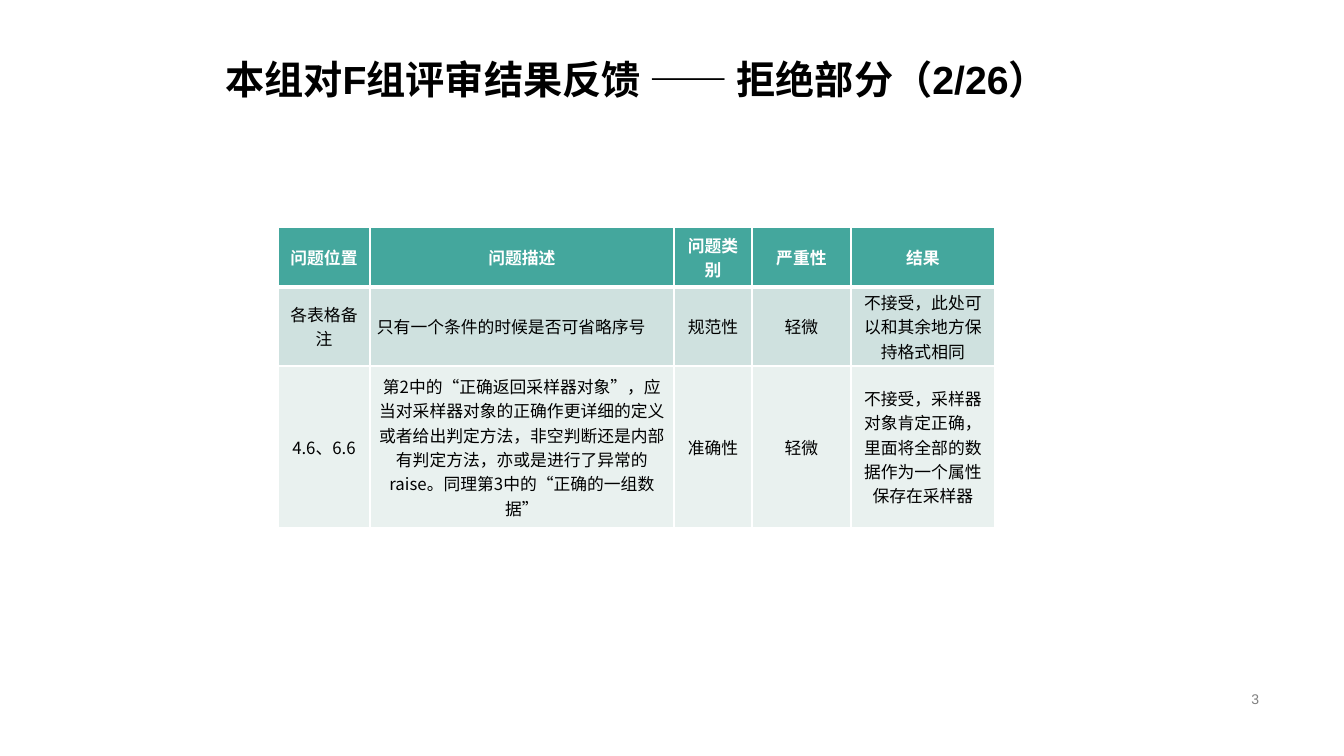
import dataclasses

import pptx
import pptx.dml.color
import pptx.enum.text
import pptx.oxml
import pptx.oxml.ns
import pptx.util

EMU_PER_PX = 12192000 / 1344
COLORS = {
    "text": "000000",
    "white": "FFFFFF",
    "header": "44A79D",
    "band_dark": "CFE1DF",
    "band_light": "E9F1EF",
    "page": "808080",
}
CJK_FONT = "Noto Sans CJK SC"
ALIGN = pptx.enum.text.PP_ALIGN
ANCHOR = pptx.enum.text.MSO_ANCHOR


@dataclasses.dataclass
class TextStyle:
    size: int
    color: str
    font: str = CJK_FONT
    bold: bool = False
    align: ALIGN = ALIGN.CENTER


@dataclasses.dataclass
class ReviewRow:
    height: int
    fill: str
    texts: list[str]
    style: TextStyle
    margins: tuple[int, int]
    bottom_border: int = 1
    left_aligned: tuple[int, ...] = ()


def px(value: int) -> int:
    return round(value * EMU_PER_PX)


def rgb(name: str) -> pptx.dml.color.RGBColor:
    return pptx.dml.color.RGBColor.from_string(COLORS[name])


def write(frame, text: str, style: TextStyle) -> None:
    frame.text = text
    paragraph = frame.paragraphs[0]
    paragraph.alignment = style.align
    font = paragraph.font
    font.name, font.size, font.bold = style.font, pptx.util.Pt(style.size), style.bold
    font.color.rgb = rgb(style.color)
    # East Asian characters take their own typeface
    defaults = paragraph._p.pPr.find(pptx.oxml.ns.qn("a:defRPr"))
    defaults.append(pptx.oxml.parse_xml(
        f'<a:ea {pptx.oxml.ns.nsdecls("a")} typeface="{CJK_FONT}"/>'))


def add_borders(cell, widths: dict[str, int]) -> None:
    properties = cell._tc.get_or_add_tcPr()
    for index, (side, points) in enumerate(widths.items()):
        properties.insert(index, pptx.oxml.parse_xml(
            f'<a:ln{side} {pptx.oxml.ns.nsdecls("a")} w="{pptx.util.Pt(points)}">'
            f'<a:solidFill><a:srgbClr val="{COLORS["white"]}"/></a:solidFill>'
            f'</a:ln{side}>'))


def add_review_table(slide, left: int, top: int, widths: list[int],
                     rows: list[ReviewRow]) -> None:
    table = slide.shapes.add_table(
        len(rows), len(widths), px(left), px(top),
        px(sum(widths)), px(sum(row.height for row in rows))).table
    table.first_row = table.horz_banding = False
    for column, width in zip(table.columns, widths):
        column.width = px(width)
    top_border = 1
    for r, row in enumerate(rows):
        table.rows[r].height = px(row.height)
        for c, text in enumerate(row.texts):
            cell = table.cell(r, c)
            align = ALIGN.LEFT if c in row.left_aligned else ALIGN.CENTER
            write(cell.text_frame, text, dataclasses.replace(row.style, align=align))
            cell.vertical_anchor = ANCHOR.MIDDLE
            cell.margin_left = cell.margin_right = px(row.margins[0])
            cell.margin_top = cell.margin_bottom = px(row.margins[1])
            cell.fill.solid()
            cell.fill.fore_color.rgb = rgb(row.fill)
            add_borders(cell, {"L": 1, "R": 1, "T": top_border, "B": row.bottom_border})
        top_border = row.bottom_border


BODY = TextStyle(12, "text")
REVIEW_ROWS = [
    ReviewRow(60, "header", ["问题位置", "问题描述", "问题类别", "严重性", "结果"],
              TextStyle(12, "white", bold=True), (10, 5), bottom_border=3),
    ReviewRow(79, "band_dark",
              ["各表格备注", "只有一个条件的时候是否可省略序号", "规范性", "轻微",
               "不接受，此处可以和其余地方保持格式相同"],
              BODY, (7, 0), left_aligned=(1,)),
    ReviewRow(162, "band_light",
              ["4.6、6.6",
               "第2中的“正确返回采样器对象”，应当对采样器对象的正确作更详细的定义"
               "或者给出判定方法，非空判断还是内部有判定方法，亦或是进行了异常的"
               "raise。同理第3中的“正确的一组数据”",
               "准确性", "轻微",
               "不接受，采样器对象肯定正确，里面将全部的数据作为一个属性保存在采样器"],
              BODY, (7, 0)),
]


def main() -> None:
    deck = pptx.Presentation()
    deck.slide_width, deck.slide_height = px(1344), px(756)
    slide = deck.slides.add_slide(deck.slide_layouts[5])

    # Title
    title = slide.shapes.title
    title.left, title.top, title.width, title.height = px(140), px(27), px(993), px(81)
    title.text_frame.vertical_anchor = ANCHOR.BOTTOM
    write(title.text_frame, "本组对F组评审结果反馈 —— 拒绝部分（2/26）",
          TextStyle(28, "text", "Arial", bold=True))
    title.text_frame.paragraphs[0].line_spacing = 0.9

    # Review feedback
    add_review_table(slide, 278, 227, [92, 304, 78, 99, 144], REVIEW_ROWS)

    # Page number
    page = slide.shapes.add_textbox(px(950), px(687), px(319), px(23)).text_frame
    page.word_wrap = True
    page.vertical_anchor = ANCHOR.MIDDLE
    write(page, "3", TextStyle(10, "page", "Arial", align=ALIGN.RIGHT))

    deck.save("out.pptx")


if __name__ == "__main__":
    main()
